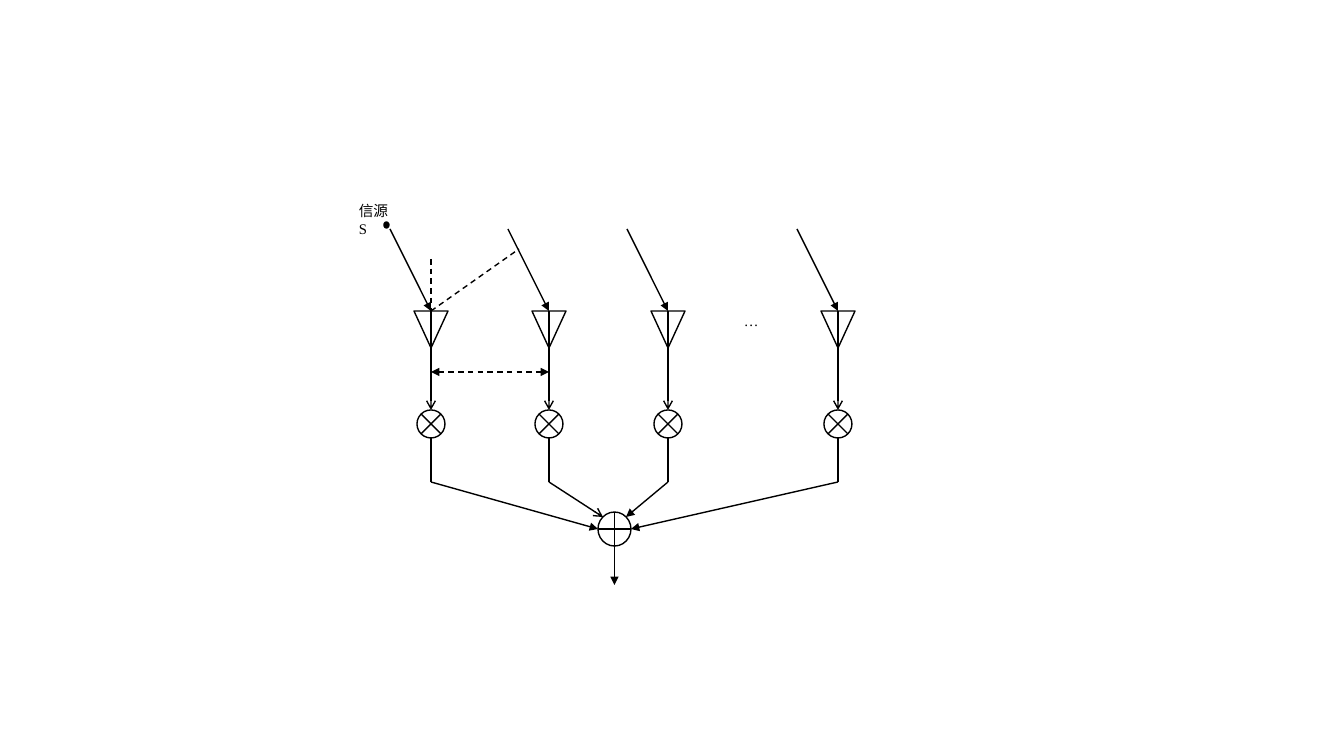
"""Draw an antenna array whose weighted signals meet in one adder."""
from pptx import Presentation
from pptx.dml.color import RGBColor
from pptx.enum.dml import MSO_LINE as Dash
from pptx.enum.shapes import MSO_CONNECTOR as Link, MSO_SHAPE as Kind
from pptx.oxml.ns import qn
from pptx.util import Pt
from lxml.etree import SubElement as Sub

SCALE = 914400 / 100.8
SIZE = (1344, 756)
INK, PAPER = "000000", "FFFFFF"
FONT = {"name": "Times New Roman", "size": Pt(10.5)}

COLS = [431, 549, 668, 838]
RAY_DX, RAY_Y = 41, 229
ANT_Y, ANT_W, ANT_H = 311, 34, 37
MIX_Y, MIX_D = 410, 28
BEND_Y = 482
SUM_X, SUM_Y, SUM_W, SUM_H = 598, 512, 33, 34
OUT_Y = 585

LABELS = [("信源S", 349, 197, 56, 28), ("…", 734, 307, 35, 28)]
DASHES = [
    ((431, 372), (549, 372), "triangle", "triangle"),
    ((431, ANT_Y), (519, 249), None, None),
    ((431, 259), (431, ANT_Y), None, None),
]
INPUTS = [
    ((598, 529), "triangle"),
    ((603, 517), "arrow"),
    ((626, 517), "triangle"),
    ((631, 529), "triangle"),
]


def px(*vals):
    """Turn px lengths into EMU."""
    return [round(v * SCALE) for v in vals]


def color(code):
    """Make a colour from a hex string."""
    return RGBColor.from_string(code)


def ink(line):
    """Give a line its colour and width."""
    line.color.rgb = color(INK)
    line.width = Pt(1)


def draw(kind, x, y, w, h, fill=PAPER):
    """Add an outlined shape."""
    item = slide.shapes.add_shape(kind, *px(x, y, w, h))
    item.shadow.inherit = False
    item.fill.solid()
    item.fill.fore_color.rgb = color(fill)
    ink(item.line)
    return item


def join(start, end, tail=None, head=None, dash=False):
    """Add a straight line with optional arrowheads."""
    item = slide.shapes.add_connector(Link.STRAIGHT, *px(*start, *end))
    ink(item.line)
    if dash:
        item.line.dash_style = Dash.DASH
    props = item.element.spPr
    for tag, kind in (("a:headEnd", head), ("a:tailEnd", tail)):
        if kind:
            Sub(props.find(qn("a:ln")), qn(tag), type=kind)
    Sub(props, qn("a:effectLst"))


def write(text, *box):
    """Add a wrapped label."""
    frame = slide.shapes.add_textbox(*px(*box)).text_frame
    frame.word_wrap = True
    run = frame.paragraphs[0].add_run()
    run.text = text
    for key, val in FONT.items():
        setattr(run.font, key, val)
    run.font.color.rgb = color(INK)


deck = Presentation()
deck.slide_width, deck.slide_height = px(*SIZE)
slide = deck.slides.add_slide(deck.slide_layouts[6])

for x in COLS:
    draw(Kind.ISOSCELES_TRIANGLE, x - ANT_W / 2, ANT_Y, ANT_W, ANT_H).rotation = 180
    join((x, ANT_Y), (x, MIX_Y), "arrow")
    join((x - RAY_DX, RAY_Y), (x, ANT_Y), "triangle")
    draw(Kind.FLOWCHART_SUMMING_JUNCTION, x - MIX_D / 2, MIX_Y, MIX_D, MIX_D)
    join((x, MIX_Y + MIX_D), (x, BEND_Y))

draw(Kind.OVAL, 384, 222, 5, 6, INK)
for label in LABELS:
    write(*label)
for start, end, tail, head in DASHES:
    join(start, end, tail, head, True)

draw(Kind.FLOWCHART_OR, SUM_X, SUM_Y, SUM_W, SUM_H)
for x, (end, tail) in zip(COLS, INPUTS):
    join((x, BEND_Y), end, tail)
mid = SUM_X + SUM_W / 2
join((mid, SUM_Y + SUM_H), (mid, OUT_Y), "triangle")

deck.save("out.pptx")
